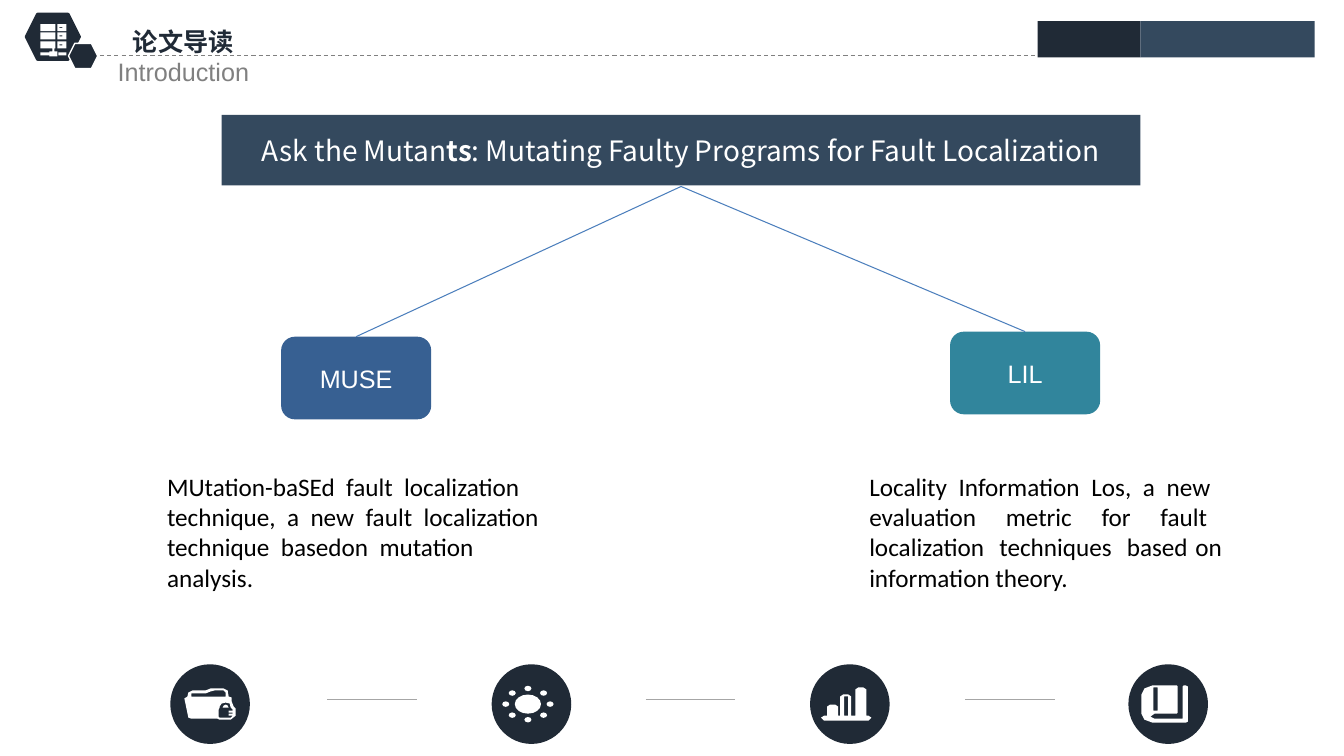
from dataclasses import dataclass
from math import cos, pi, sin

from lxml import etree
from pptx import Presentation
from pptx.dml.color import RGBColor
from pptx.enum.dml import MSO_LINE
from pptx.enum.shapes import MSO_CONNECTOR, MSO_SHAPE
from pptx.enum.text import MSO_ANCHOR, PP_ALIGN
from pptx.oxml.ns import qn
from pptx.util import Inches, Pt

RECT, ROUND = MSO_SHAPE.RECTANGLE, MSO_SHAPE.ROUNDED_RECTANGLE
OVAL, HEXAGON = MSO_SHAPE.OVAL, MSO_SHAPE.HEXAGON
STRAIGHT, DASH = MSO_CONNECTOR.STRAIGHT, MSO_LINE.DASH
LEFT, CENTER, JUSTIFY = PP_ALIGN.LEFT, PP_ALIGN.CENTER, PP_ALIGN.JUSTIFY
TOP, MIDDLE = MSO_ANCHOR.TOP, MSO_ANCHOR.MIDDLE

INK = RGBColor(0x20, 0x2A, 0x36)
SLATE = RGBColor(0x34, 0x49, 0x5E)
BLUE = RGBColor(0x37, 0x60, 0x92)
TEAL = RGBColor(0x31, 0x85, 0x9C)
BRANCH = RGBColor(0x4B, 0x7E, 0xBC)
GRAY = RGBColor(0x80, 0x80, 0x80)
SILVER = RGBColor(0xA6, 0xA6, 0xA6)
WHITE = RGBColor(0xFF, 0xFF, 0xFF)
BLACK = RGBColor(0, 0, 0)
SANS, BODY, CJK = "Arial", "Calibri", "Noto Sans CJK SC"

Contour = list[tuple[float, float]]


@dataclass
class Block:
    kind: int
    left: float
    top: float
    width: float
    height: float
    fill: RGBColor = WHITE


@dataclass
class Rule:
    start: tuple[float, float]
    end: tuple[float, float]
    color: RGBColor
    dashed: bool = False


@dataclass
class Span:
    text: str
    font: str
    color: RGBColor
    size: int = 18
    bold: bool = False


@dataclass
class Branch:
    box: Block
    name: str
    note: Block
    summary: str
    align: int


def paint(shape, fill: RGBColor):
    shape.shadow.inherit = False
    shape.fill.solid()
    shape.fill.fore_color.rgb = fill
    shape.line.fill.background()
    return shape


def draw_block(page, block: Block):
    shape = page.shapes.add_shape(block.kind, Inches(block.left), Inches(block.top),
                                  Inches(block.width), Inches(block.height))
    return paint(shape, block.fill)


def draw_hexagon(page, block: Block, border: RGBColor, weight: int) -> None:
    hexagon = draw_block(page, block)
    hexagon.line.color.rgb = border
    hexagon.line.width = Pt(weight)


def draw_icon(page, contours: list[Contour]) -> None:
    builder = None
    for contour in contours:
        first, *others = [(Inches(x), Inches(y)) for x, y in contour]
        if builder is None:
            builder = page.shapes.build_freeform(*first)
        else:
            builder.move_to(*first)
        builder.add_line_segments(others, close=True)
    paint(builder.convert_to_shape(), WHITE)


def draw_rule(page, rule: Rule) -> None:
    ends = [Inches(value) for value in (*rule.start, *rule.end)]
    connector = page.shapes.add_connector(STRAIGHT, *ends)
    connector.line.color.rgb = rule.color
    connector.line.width = Pt(0.75)
    if rule.dashed:
        connector.line.dash_style = DASH
    etree.SubElement(connector.element.spPr, qn("a:effectLst"))


def write(shape, lines: list[list[Span]], align: int, anchor: int = MIDDLE) -> None:
    frame = shape.text_frame
    frame.word_wrap = True
    frame.vertical_anchor = anchor
    for index, spans in enumerate(lines):
        para = frame.add_paragraph() if index else frame.paragraphs[0]
        para.alignment = align
        for span in spans:
            run = para.add_run()
            run.text = span.text
            run.font.name, run.font.size = span.font, Pt(span.size)
            run.font.bold = span.bold
            run.font.color.rgb = span.color
            east_asian = etree.SubElement(run.font._element, qn("a:ea"))
            east_asian.set("typeface", span.font)


def add_box(page, area: Block):
    return page.shapes.add_textbox(Inches(area.left), Inches(area.top),
                                   Inches(area.width), Inches(area.height))


def rectangle(left: float, top: float, right: float, bottom: float) -> Contour:
    return [(left, top), (right, top), (right, bottom), (left, bottom)]


def ellipse(x: float, y: float, across: float, down: float, sides: int) -> Contour:
    angles = [2 * pi * step / sides for step in range(sides)]
    return [(x + across * cos(angle), y + down * sin(angle)) for angle in angles]


def server_icon() -> list[Contour]:
    contours = []
    for top in (0.24, 0.32, 0.41):
        contours += [rectangle(0.4, top, 0.55, top + 0.07),
                     rectangle(0.57, top, 0.66, top + 0.07),
                     rectangle(0.59, top + 0.03, 0.62, top + 0.04)]
    return contours + [
        rectangle(0.58, 0.52, 0.66, 0.55),
        [(0.4, 0.52), (0.49, 0.52), (0.49, 0.51), (0.52, 0.51), (0.52, 0.48), (0.54, 0.48),
         (0.54, 0.51), (0.57, 0.51), (0.57, 0.56), (0.49, 0.56), (0.49, 0.55), (0.4, 0.55)]]


def folder_icon() -> list[Contour]:
    body = [(1.83, 6.93), (1.86, 6.91), (1.87, 6.87), (1.91, 6.85), (2.04, 6.85), (2.09, 6.83),
            (2.22, 6.83), (2.26, 6.85), (2.27, 6.91), (2.3, 6.92), (2.3, 6.96), (2.32, 7.01),
            (2.34, 7.03), (2.34, 7.1), (2.29, 7.14), (2.18, 7.14), (2.16, 7.13), (1.9, 7.13),
            (1.87, 7.12)]
    tab = [(1.9, 6.91), (1.9, 6.88), (2.04, 6.88), (2.09, 6.86), (2.13, 6.85), (2.22, 6.85),
           (2.24, 6.87), (2.24, 6.91)]
    lock = [(2.18, 7.02), (2.18, 7.01), (2.2, 6.98), (2.24, 6.97), (2.28, 6.98), (2.29, 7.02),
            (2.31, 7.04), (2.31, 7.05), (2.27, 7.05), (2.27, 7.07), (2.31, 7.07), (2.31, 7.08),
            (2.27, 7.08), (2.27, 7.1), (2.31, 7.1), (2.29, 7.12), (2.18, 7.12), (2.17, 7.11),
            (2.17, 7.04)]
    shackle = [(2.21, 7.02), (2.22, 7), (2.24, 6.99), (2.26, 7), (2.27, 7.02)]
    return [body, tab, lock, shackle]


def sun_icon() -> list[Contour]:
    rays = ellipse(5.24, 6.985, 0.22, 0.155, 8)
    return [ellipse(5.24, 6.985, 0.13, 0.095, 16)] + [
        ellipse(x, y, 0.035, 0.027, 8) for x, y in rays]


def bars_icon() -> list[Contour]:
    outline = [(8.15, 7.12), (8.18, 7.1)]
    for left, top in ((8.21, 6.99), (8.34, 6.89), (8.49, 6.82)):
        right = left + 0.11
        outline += [(left, 7.1), (left, top + 0.02), (left + 0.03, top), (right - 0.03, top),
                    (right, top + 0.02), (right, 7.1)]
    outline += [(8.62, 7.1), (8.65, 7.12), (8.62, 7.15), (8.18, 7.15)]
    return [outline, rectangle(8.38, 6.91, 8.42, 7.1)]


def book_icon() -> list[Contour]:
    cover = [(11.79, 6.81), (11.77, 6.8), (11.75, 6.8), (11.74, 6.81), (11.74, 7.13),
             (11.46, 7.13), (11.42, 7.11), (11.46, 7.08), (11.68, 7.08), (11.69, 7.07),
             (11.69, 6.81), (11.68, 6.8), (11.44, 6.8), (11.36, 6.83), (11.33, 6.89),
             (11.33, 7.08), (11.36, 7.14), (11.44, 7.17), (11.77, 7.17), (11.79, 7.16)]
    return [cover, rectangle(11.45, 6.82, 11.49, 7.05)]


BRANCHES = [
    Branch(Block(ROUND, 2.79, 3.34, 1.49, 0.82, BLUE), "MUSE",
           Block(RECT, 1.56, 4.38, 3.96, 1.79),
           "MUtation-baSEd  fault  localization  technique,  a  new  fault  localization  "
           "technique  basedon  mutation  analysis.", LEFT),
    Branch(Block(ROUND, 9.43, 3.29, 1.49, 0.82, TEAL), "LIL",
           Block(RECT, 8.53, 4.32, 3.7, 1.91),
           "Locality Information Los, a new  evaluation  metric  for  fault  localization  "
           "techniques  based on information theory.", JUSTIFY),
]


def draw_header(page) -> None:
    draw_hexagon(page, Block(HEXAGON, 0.26, 0.14, 0.53, 0.45, INK), INK, 2)
    draw_rule(page, Rule((0.92, 0.55), (10.29, 0.55), GRAY, True))
    draw_hexagon(page, Block(HEXAGON, 0.68, 0.43, 0.29, 0.25, INK), WHITE, 1)
    draw_icon(page, server_icon())
    draw_block(page, Block(RECT, 10.3, 0.21, 1.02, 0.36, INK))
    draw_block(page, Block(RECT, 11.32, 0.21, 1.73, 0.36, SLATE))
    heading = add_box(page, Block(RECT, 0.74, 0.06, 2.16, 0.86))
    write(heading, [[Span("论文导读", CJK, INK, bold=True)],
                    [Span("Introduction", SANS, GRAY)]], CENTER, TOP)
    heading.text_frame.paragraphs[0].line_spacing = 1.5


def draw_tree(page) -> None:
    title = draw_block(page, Block(RECT, 2.2, 1.14, 9.12, 0.7, SLATE))
    write(title, [[Span("Ask the Mutan", CJK, WHITE, 20), Span("ts", CJK, WHITE, 20, True),
                   Span(": Mutating Faulty Programs for Fault Localization", CJK, WHITE, 20)]],
          CENTER)
    for branch in BRANCHES:
        box = branch.box
        write(draw_block(page, box), [[Span(branch.name, SANS, WHITE)]], CENTER)
        draw_rule(page, Rule((6.76, 1.85), (box.left + box.width / 2, box.top), BRANCH))
        write(add_box(page, branch.note), [[Span(branch.summary, BODY, BLACK)]], branch.align)


def draw_footer(page) -> None:
    icons = [folder_icon(), sun_icon(), bars_icon(), book_icon()]
    for left, icon in zip((1.69, 4.88, 8.04, 11.2), icons):
        draw_block(page, Block(OVAL, left, 6.59, 0.79, 0.79, INK))
        draw_icon(page, icon)
    for left in (3.25, 6.41, 9.58):
        draw_rule(page, Rule((left, 6.94), (left + 0.89, 6.94), SILVER))


def main() -> None:
    deck = Presentation()
    deck.slide_width, deck.slide_height = Inches(13.34), Inches(7.5)
    page = deck.slides.add_slide(deck.slide_layouts[6])
    draw_header(page)
    draw_tree(page)
    draw_footer(page)
    deck.save("out.pptx")


if __name__ == "__main__":
    main()
